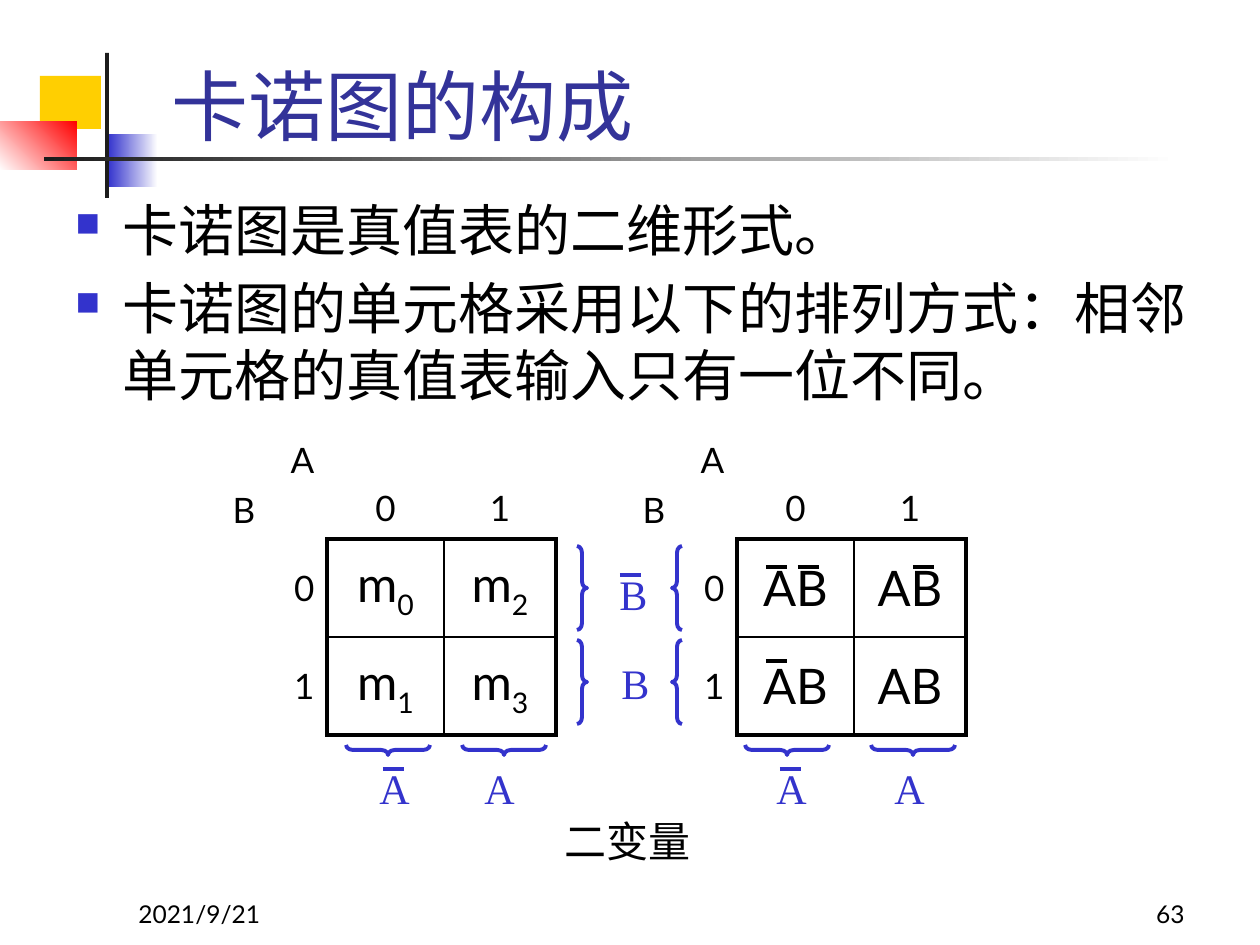
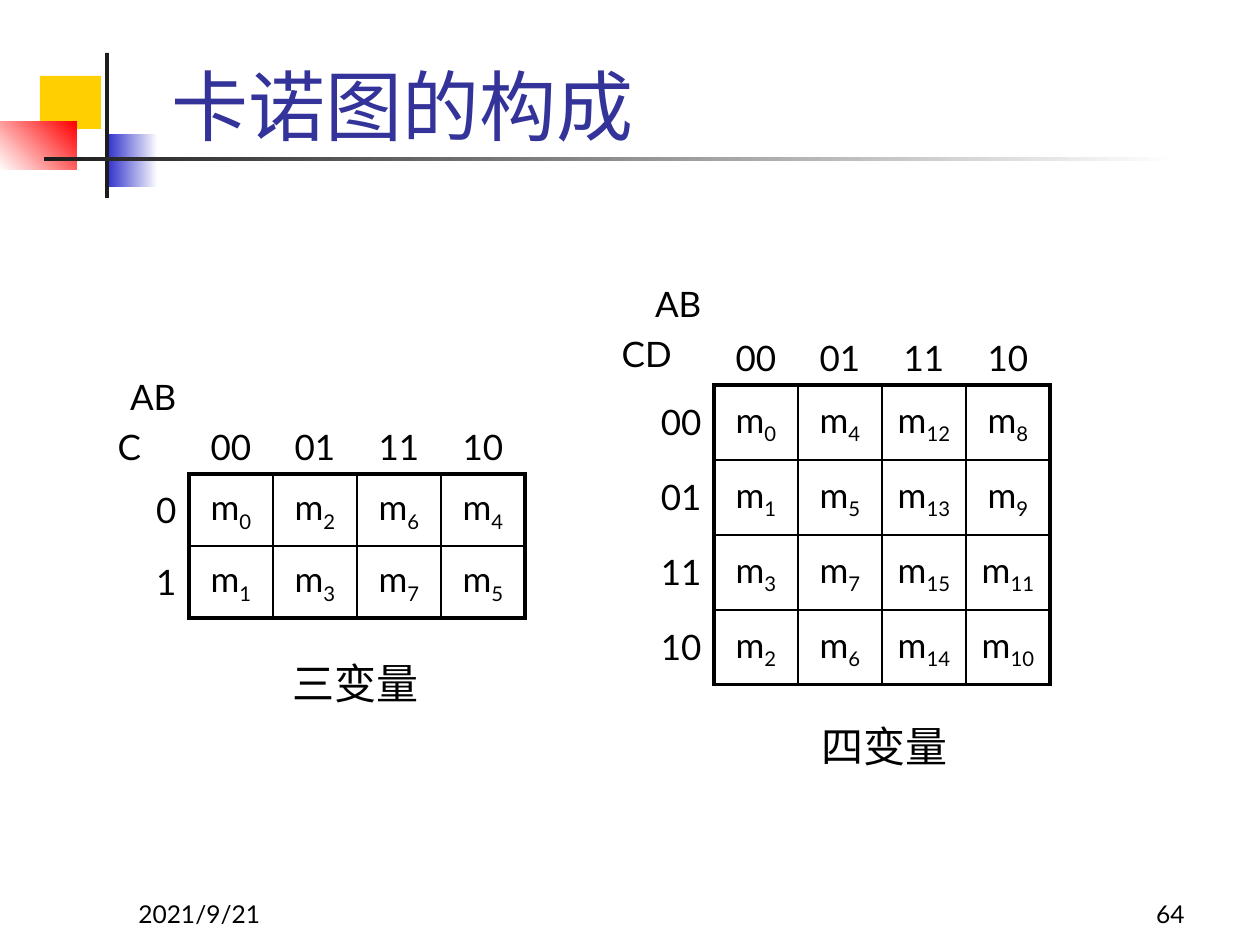
"""Builds two slides on how Karnaugh maps are laid out."""
from lxml import etree
from pptx import Presentation
from pptx.dml.color import RGBColor
from pptx.enum.shapes import MSO_CONNECTOR, MSO_SHAPE
from pptx.enum.text import MSO_ANCHOR, PP_ALIGN
from pptx.oxml.ns import qn
from pptx.util import Emu, Pt

SCALE = 914400 / 126
BLACK = RGBColor(0x00, 0x00, 0x00)
WHITE = RGBColor(0xFF, 0xFF, 0xFF)
CHARCOAL = RGBColor(0x1C, 0x1C, 0x1C)
BLUE = RGBColor(0x33, 0x33, 0xCC)
NAVY = RGBColor(0x33, 0x33, 0x99)
YELLOW = RGBColor(0xFF, 0xCF, 0x01)
RED = RGBColor(0xFF, 0x00, 0x00)
SANS = "Lato"
SERIF = "Times New Roman"
HEAVY, LIGHT, NONE = 2.25, 1, 0
BIT = ["0", "1"]
GRAY = ["00", "01", "11", "10"]


def px(length):
    """Turn px into EMU."""
    return Emu(round(length * SCALE))


def minterm(column, row):
    """Return the minterm letter and its number."""
    return "m", str(int(column + row, 2))


def product(column, row):
    """Return the product term, whose overlines are drawn apart."""
    return ("AB",)


class KarnaughDeck:
    """Holds the shared style and the slide being drawn."""

    def __init__(self):
        self.deck = Presentation()
        self.deck.slide_width, self.deck.slide_height = px(1260), px(945)
        self.slide = None

    def new_slide(self, title, number):
        """Add a slide with its ornament, title and footer."""
        self.slide = self.deck.slides.add_slide(self.deck.slide_layouts[6])
        self.block(40, 76, 61, 53, YELLOW)
        self.block(108, 134, 50, 53, BLUE, WHITE)
        self.block(0, 122, 77, 48, WHITE, RED, 45)
        self.block(105, 53, 4, 145, CHARCOAL)
        self.block(44, 157, 1134, 4, CHARCOAL, WHITE)
        self.text(126, 872, 262, 63, "2021/9/21", 14, anchor=MSO_ANCHOR.BOTTOM)
        self.text(935, 872, 262, 63, number, 14, anchor=MSO_ANCHOR.BOTTOM,
                  align=PP_ALIGN.RIGHT)
        self.text(159, 73, 1074, 84, title, 44, NAVY, anchor=MSO_ANCHOR.BOTTOM)

    def block(self, left, top, width, height, start, end=None, angle=0):
        """Draw a plain rectangle, shaded when an end colour is given."""
        block = self.slide.shapes.add_shape(
            MSO_SHAPE.RECTANGLE, px(left), px(top), px(width), px(height))
        block.shadow.inherit = False
        block.line.fill.background()
        if end is None:
            block.fill.solid()
            block.fill.fore_color.rgb = start
            return
        block.fill.gradient()
        block.fill.gradient_angle = angle
        for stop, position, colour in zip(block.fill.gradient_stops, (0, 1), (start, end)):
            stop.position = position
            stop.color.rgb = colour

    def run(self, paragraph, wording, size, colour=BLACK, font=SANS):
        """Add one styled run."""
        run = paragraph.add_run()
        run.text = wording
        run.font.size = Pt(size)
        run.font.name = font
        run.font.color.rgb = colour
        return run

    def text(self, left, top, width, height, wording, size, colour=BLACK, font=SANS,
             anchor=MSO_ANCHOR.TOP, align=PP_ALIGN.LEFT, wrap=True):
        """Add a text box of one paragraph."""
        frame = self.slide.shapes.add_textbox(
            px(left), px(top), px(width), px(height)).text_frame
        frame.word_wrap = wrap
        frame.vertical_anchor = anchor
        frame.paragraphs[0].alignment = align
        self.run(frame.paragraphs[0], wording, size, colour, font)

    def bullets(self, left, top, width, height, points, size=32):
        """Add a list with square blue bullets."""
        frame = self.slide.shapes.add_textbox(
            px(left), px(top), px(width), px(height)).text_frame
        frame.word_wrap = True
        for index, point in enumerate(points):
            paragraph = frame.add_paragraph() if index else frame.paragraphs[0]
            paragraph.space_before = Pt(size * 0.2)
            self.run(paragraph, point, size)
            properties = paragraph._p.get_or_add_pPr()
            properties.set("marL", str(px(47)))
            properties.set("indent", str(-px(47)))
            colour = etree.SubElement(properties, qn("a:buClr"))
            etree.SubElement(colour, qn("a:srgbClr"), val=str(BLUE))
            etree.SubElement(properties, qn("a:buSzPct"), val="60000")
            etree.SubElement(properties, qn("a:buChar"), char="■")

    def label(self, left, top, wording, colour=BLUE, width=54):
        """Add a short serif label."""
        self.text(left, top, width, 63, wording, 24, colour, SERIF, wrap=False)

    def overline(self, left, top, colour=BLACK):
        """Draw the bar that negates a variable."""
        bar = self.slide.shapes.add_connector(
            MSO_CONNECTOR.STRAIGHT, px(left), px(top), px(left + 21), px(top))
        bar.line.color.rgb = colour
        bar.line.width = Pt(HEAVY)
        etree.SubElement(bar._element.spPr, qn("a:effectLst"))

    def brace(self, left, top, kind=MSO_SHAPE.RIGHT_BRACE, rotation=0):
        """Draw a blue brace spanning one row or column."""
        brace = self.slide.shapes.add_shape(kind, px(left), px(top), px(10), px(84))
        brace.shadow.inherit = False
        brace.rotation = rotation
        brace.adjustments[0] = 0.67
        brace.fill.background()
        brace.line.color.rgb = BLUE
        brace.line.width = Pt(HEAVY)

    def borders(self, cell, widths):
        """Set the left, right, top and bottom borders of a cell."""
        properties = cell._tc.get_or_add_tcPr()
        for side, width in zip("LRTB", widths):
            line = etree.SubElement(properties, qn(f"a:ln{side}"), w=str(Pt(width)))
            if width:
                fill = etree.SubElement(line, qn("a:solidFill"))
                etree.SubElement(fill, qn("a:srgbClr"), val=str(BLACK))
            else:
                etree.SubElement(line, qn("a:noFill"))
        cell.fill.background()

    def fill_cell(self, cell, lines, size=20):
        """Write (alignment, wording, subscript) lines into a cell."""
        cell.vertical_anchor = MSO_ANCHOR.MIDDLE
        frame = cell.text_frame
        for index, (align, wording, *subscripts) in enumerate(lines):
            paragraph = frame.add_paragraph() if index else frame.paragraphs[0]
            paragraph.alignment = align
            paragraph.space_before = Pt(size * 0.2)
            self.run(paragraph, wording, size)
            for subscript in subscripts:
                lowered = self.run(paragraph, subscript, size)
                lowered._r.get_or_add_rPr().set("baseline", "-25000")

    def karnaugh_map(self, left, top, widths, heights, variables, columns, rows,
                     term=minterm, size=20, header_gap=6):
        """Add a map whose cells follow from the column and row codes."""
        table = self.slide.shapes.add_table(
            len(heights), len(widths), px(left), px(top),
            px(sum(widths)), px(sum(heights))).table
        table.first_row = table.horz_banding = False
        for column, width in zip(table.columns, widths):
            column.width = px(width)
        for row, height in zip(table.rows, heights):
            row.height = px(height)

        def edge(position, last, inside):
            if not inside or position == 0:
                return NONE
            return HEAVY if position in (1, last) else LIGHT

        for r in range(len(heights)):
            for c in range(len(widths)):
                cell = table.cell(r, c)
                self.borders(cell, [edge(c, len(widths), r), edge(c + 1, len(widths), r),
                                    edge(r, len(heights), c), edge(r + 1, len(heights), c)])
                if r and c:
                    wording = term(columns[c - 1], rows[r - 1])
                    self.fill_cell(cell, [(PP_ALIGN.CENTER, *wording)], size)
                elif r:
                    self.fill_cell(cell, [(PP_ALIGN.RIGHT, rows[r - 1])])
                elif c:
                    self.fill_cell(cell, [(PP_ALIGN.CENTER, columns[c - 1])])
                    cell.vertical_anchor = MSO_ANCHOR.BOTTOM
                    cell.margin_bottom = px(header_gap)
                else:
                    self.fill_cell(cell, [(PP_ALIGN.RIGHT, variables[0]),
                                          (PP_ALIGN.LEFT, variables[1])])


def two_variables(deck):
    """Draw the slide with the rule and the two-variable maps."""
    deck.new_slide("卡诺图的构成", "63")
    deck.bullets(63, 189, 1155, 230, [
        "卡诺图是真值表的二维形式。",
        "卡诺图的单元格采用以下的排列方式：相邻单元格的真值表输入只有一位不同。"])
    for left, term in ((220, minterm), (630, product)):
        deck.karnaugh_map(left, 431, [107, 117, 112], [108, 98, 98], "AB", BIT, BIT,
                          term, 28, 10)
    for left, top in ((766, 567), (798, 567), (766, 661), (913, 567)):
        deck.overline(left, top)
    for top in (546, 640):
        deck.brace(672, top, MSO_SHAPE.LEFT_BRACE)
        deck.brace(577, top)
    for left in (383, 499, 782, 908):
        deck.brace(left, 708, rotation=90)
    deck.label(607, 562, "B")
    deck.label(609, 651, "B")
    for left in (367, 472, 764, 882):
        deck.label(left, 756, "A")
    for left, top in ((620, 575), (383, 769), (780, 769)):
        deck.overline(left, top, BLUE)
    deck.label(552, 809, "二变量", BLACK, 151)


def more_variables(deck):
    """Draw the slide with the three- and four-variable maps."""
    deck.new_slide("卡诺图的构成", "64")
    deck.karnaugh_map(609, 273, [105] + [84] * 4, [112] + [75] * 4,
                      ("AB", "CD"), GRAY, GRAY)
    deck.karnaugh_map(105, 370, [84] * 5, [104] + [72] * 2, ("AB", "C"), GRAY, BIT)
    deck.label(280, 651, "三变量", BLACK, 151)
    deck.label(809, 714, "四变量", BLACK, 151)


def main():
    """Build and save the slides."""
    karnaugh = KarnaughDeck()
    two_variables(karnaugh)
    more_variables(karnaugh)
    karnaugh.deck.save("out.pptx")


if __name__ == "__main__":
    main()
